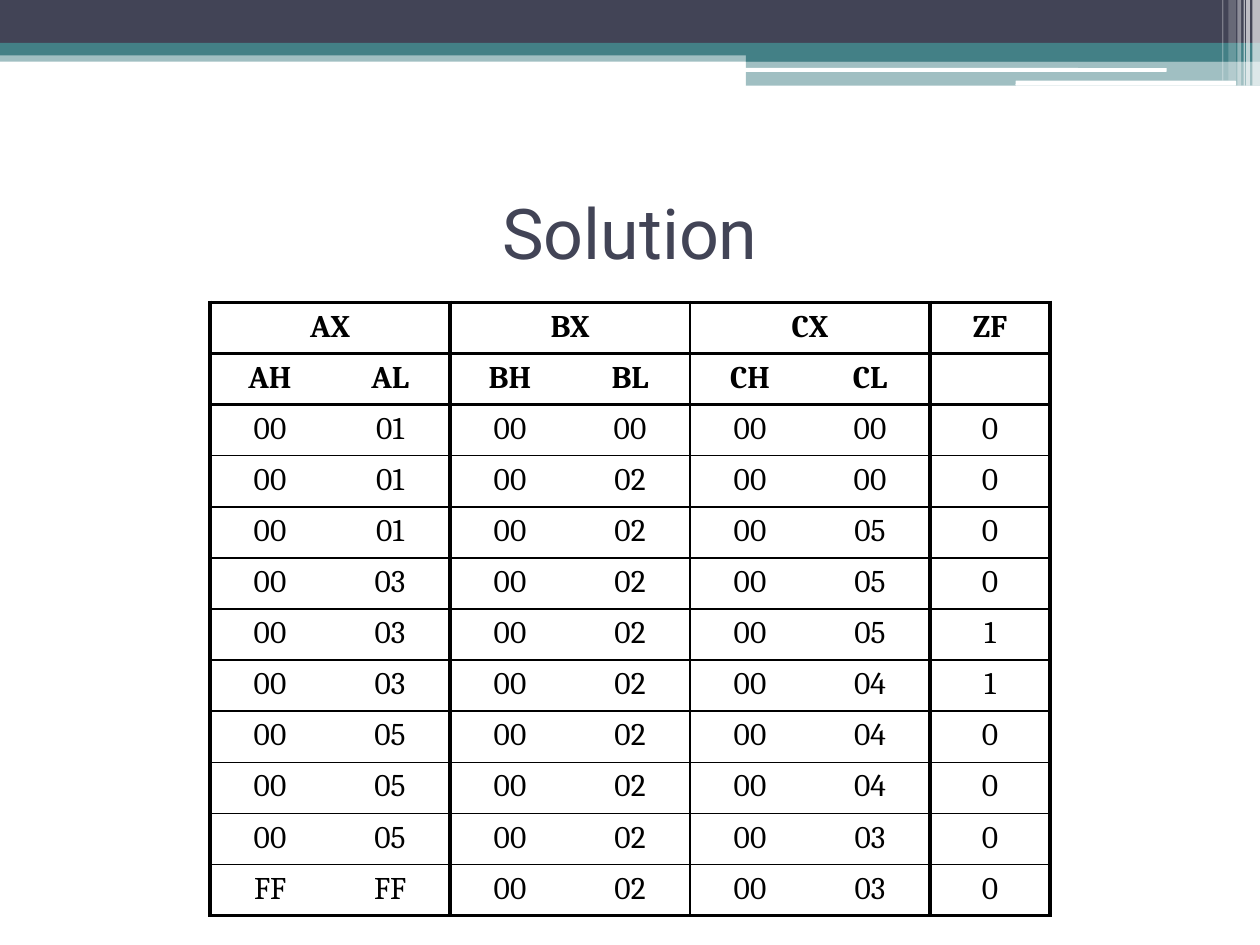
from dataclasses import dataclass

from lxml.etree import SubElement
from pptx import Presentation
from pptx.dml.color import RGBColor
from pptx.enum.shapes import MSO_SHAPE as Preset
from pptx.enum.text import MSO_ANCHOR as Anchor, PP_ALIGN as Align
from pptx.oxml.ns import qn
from pptx.util import Inches, Pt

SLIDE_WIDTH, SLIDE_HEIGHT = Inches(10), Inches(7.5)
NAVY = RGBColor(0x42, 0x44, 0x56)
TEAL = RGBColor(0x43, 0x80, 0x86)
WHITE = RGBColor(0xFF, 0xFF, 0xFF)
BLACK = RGBColor(0x00, 0x00, 0x00)

THICK, THIN, NO_LINE = 2.25, 1, 0
COLUMN_EDGES = [THICK, NO_LINE, THICK, NO_LINE, THIN, NO_LINE, THICK, THICK]
ROW_EDGES = [THICK] * 3 + [THIN] * 9 + [THICK]

HEADER_ROWS = 2
REGISTERS = [
    ["AX", "", "BX", "", "CX", "", "ZF"],
    ["AH", "AL", "BH", "BL", "CH", "CL", ""],
    ["00", "01", "00", "00", "00", "00", "0"],
    ["00", "01", "00", "02", "00", "00", "0"],
    ["00", "01", "00", "02", "00", "05", "0"],
    ["00", "03", "00", "02", "00", "05", "0"],
    ["00", "03", "00", "02", "00", "05", "1"],
    ["00", "03", "00", "02", "00", "04", "1"],
    ["00", "05", "00", "02", "00", "04", "0"],
    ["00", "05", "00", "02", "00", "04", "0"],
    ["00", "05", "00", "02", "00", "03", "0"],
    ["FF", "FF", "00", "02", "00", "03", "0"],
]


@dataclass(frozen=True)
class Region:
    """Percentages of the slide's width and height."""

    left: float
    top: float
    width: float
    height: float

    def lengths(self) -> tuple[int, int, int, int]:
        return (
            int(SLIDE_WIDTH * self.left / 100),
            int(SLIDE_HEIGHT * self.top / 100),
            int(SLIDE_WIDTH * self.width / 100),
            int(SLIDE_HEIGHT * self.height / 100),
        )


@dataclass(frozen=True)
class Band:
    region: Region
    color: RGBColor
    opacity: int = 100
    preset: Preset = Preset.RECTANGLE


@dataclass(frozen=True)
class Stripe:
    left: float
    width: float
    height: float
    opacity: int

    def band(self) -> Band:
        return Band(Region(self.left, 0, self.width, self.height), WHITE, self.opacity)


TITLE_REGION = Region(5, 16.67, 90, 15.6)
TABLE_REGION = Region(16.67, 32, 66.67, 64.93)
BANDS = [
    Band(Region(0, 5.33, 100, 1.2), TEAL, 50),
    Band(Region(0, 0, 100, 4.53), NAVY),
    Band(Region(0, 4.53, 100, 1.33), TEAL),
    Band(Region(59.2, 5.2, 40.8, 1.33), TEAL),
    Band(Region(59.2, 6.4, 40.8, 2.67), TEAL, 50),
    Band(Region(59.1, 7.2, 33.5, 0.4), WHITE, preset=Preset.ROUNDED_RECTANGLE),
    Band(Region(80.6, 8.53, 17.5, 0.53), WHITE, preset=Preset.ROUNDED_RECTANGLE),
]
STRIPES = [
    Stripe(99.4, 0.6, 9.07, 65),
    Stripe(98.9, 0.3, 9.07, 65),
    Stripe(98.7, 0.1, 9.07, 60),
    Stripe(98.2, 0.3, 9.07, 40),
    Stripe(97.5, 0.6, 8.53, 20),
    Stripe(97, 0.1, 8.53, 30),
]


def set_attributes(target, values: dict) -> None:
    for name, value in values.items():
        setattr(target, name, value)


def format_paragraph(paragraph, color: RGBColor, **font_values) -> None:
    paragraph.alignment = Align.CENTER
    for run in paragraph.runs:
        set_attributes(run.font, font_values)
        run.font.color.rgb = color


def draw_band(slide, band: Band) -> None:
    shape = slide.shapes.add_shape(band.preset, *band.region.lengths())
    shape.shadow.inherit = False
    shape.line.fill.background()
    shape.fill.solid()
    shape.fill.fore_color.rgb = band.color
    if band.opacity < 100:
        color = shape.fill._xPr.find(".//" + qn("a:srgbClr"))
        SubElement(color, qn("a:alpha"), val=str(band.opacity * 1000))


def draw_title(slide, text: str) -> None:
    title = slide.shapes.title
    names = ("left", "top", "width", "height")
    set_attributes(title, dict(zip(names, TITLE_REGION.lengths())))
    title.text_frame.text = text
    set_attributes(
        title.text_frame, {"word_wrap": True, "vertical_anchor": Anchor.MIDDLE}
    )
    format_paragraph(title.text_frame.paragraphs[0], NAVY, name="Roboto", size=Pt(40))


def draw_borders(cell, row: int, column: int) -> None:
    properties = cell._tc.get_or_add_tcPr()
    widths = {
        "a:lnL": COLUMN_EDGES[column],
        "a:lnR": COLUMN_EDGES[column + 1],
        "a:lnT": ROW_EDGES[row],
        "a:lnB": ROW_EDGES[row + 1],
    }
    for tag, width in widths.items():
        line = SubElement(properties, qn(tag), w=str(int(Pt(width))))
        if width == NO_LINE:
            SubElement(line, qn("a:noFill"))
        else:
            fill = SubElement(line, qn("a:solidFill"))
            SubElement(fill, qn("a:srgbClr"), val=str(BLACK))


def draw_registers(slide) -> None:
    row_count, column_count = len(REGISTERS), len(REGISTERS[0])
    left, top, width, height = TABLE_REGION.lengths()
    table = slide.shapes.add_table(
        row_count, column_count, left, top, width, height
    ).table
    set_attributes(table, {"first_row": False, "horz_banding": False})
    for column in table.columns:
        column.width = width // column_count
    for row in table.rows:
        row.height = height // row_count
    for row, values in enumerate(REGISTERS):
        for column, value in enumerate(values):
            cell = table.cell(row, column)
            draw_borders(cell, row, column)
            cell.fill.background()
            cell.text = value
            format_paragraph(
                cell.text_frame.paragraphs[0],
                BLACK,
                name="Cambria",
                size=Pt(18),
                bold=row < HEADER_ROWS,
            )
    for column in range(0, column_count - 1, 2):
        table.cell(0, column).merge(table.cell(0, column + 1))


def main() -> None:
    presentation = Presentation()
    set_attributes(
        presentation, {"slide_width": SLIDE_WIDTH, "slide_height": SLIDE_HEIGHT}
    )
    slide = presentation.slides.add_slide(presentation.slide_layouts[5])
    for band in BANDS + [stripe.band() for stripe in STRIPES]:
        draw_band(slide, band)
    draw_title(slide, "Solution")
    draw_registers(slide)
    presentation.save("out.pptx")


if __name__ == "__main__":
    main()
